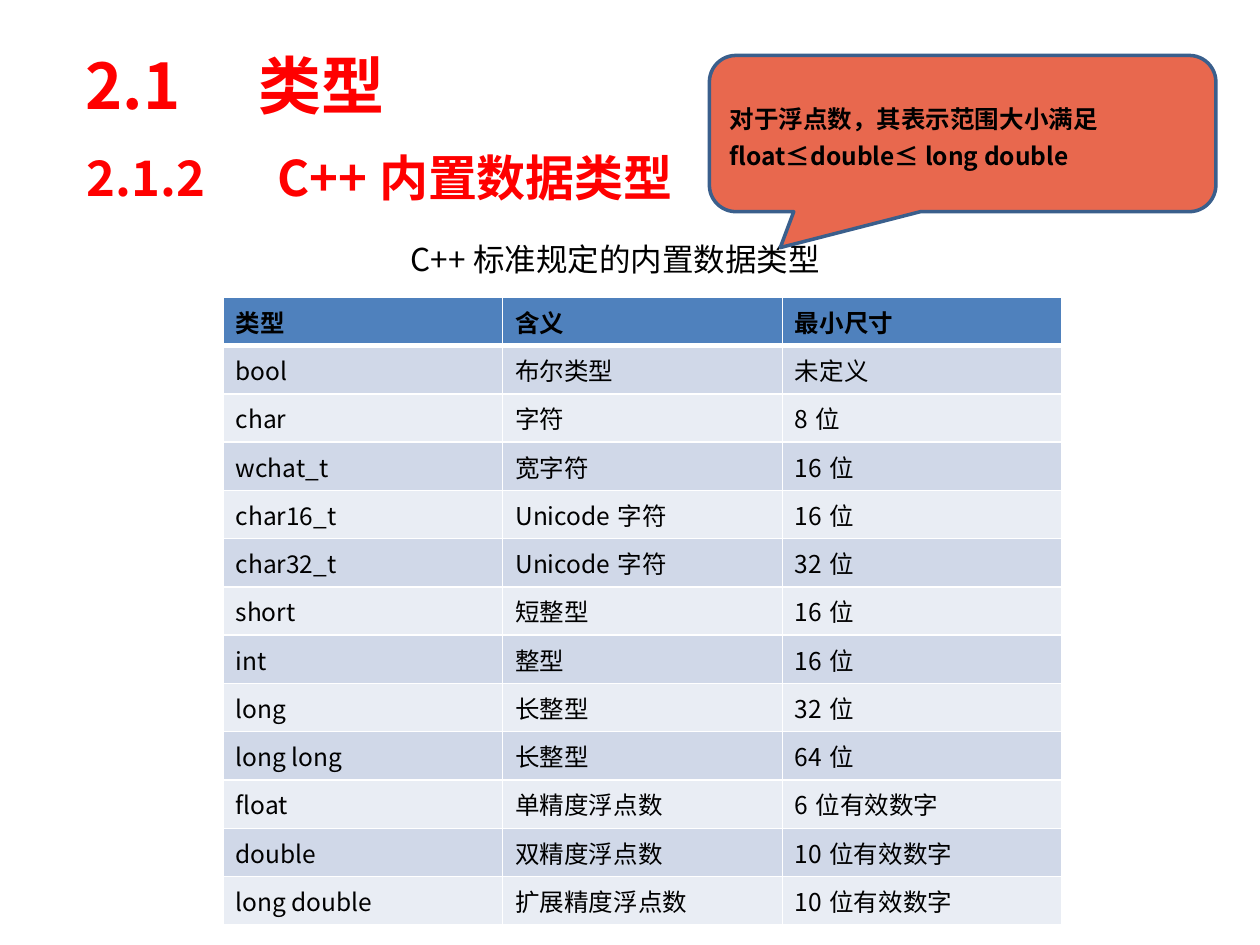
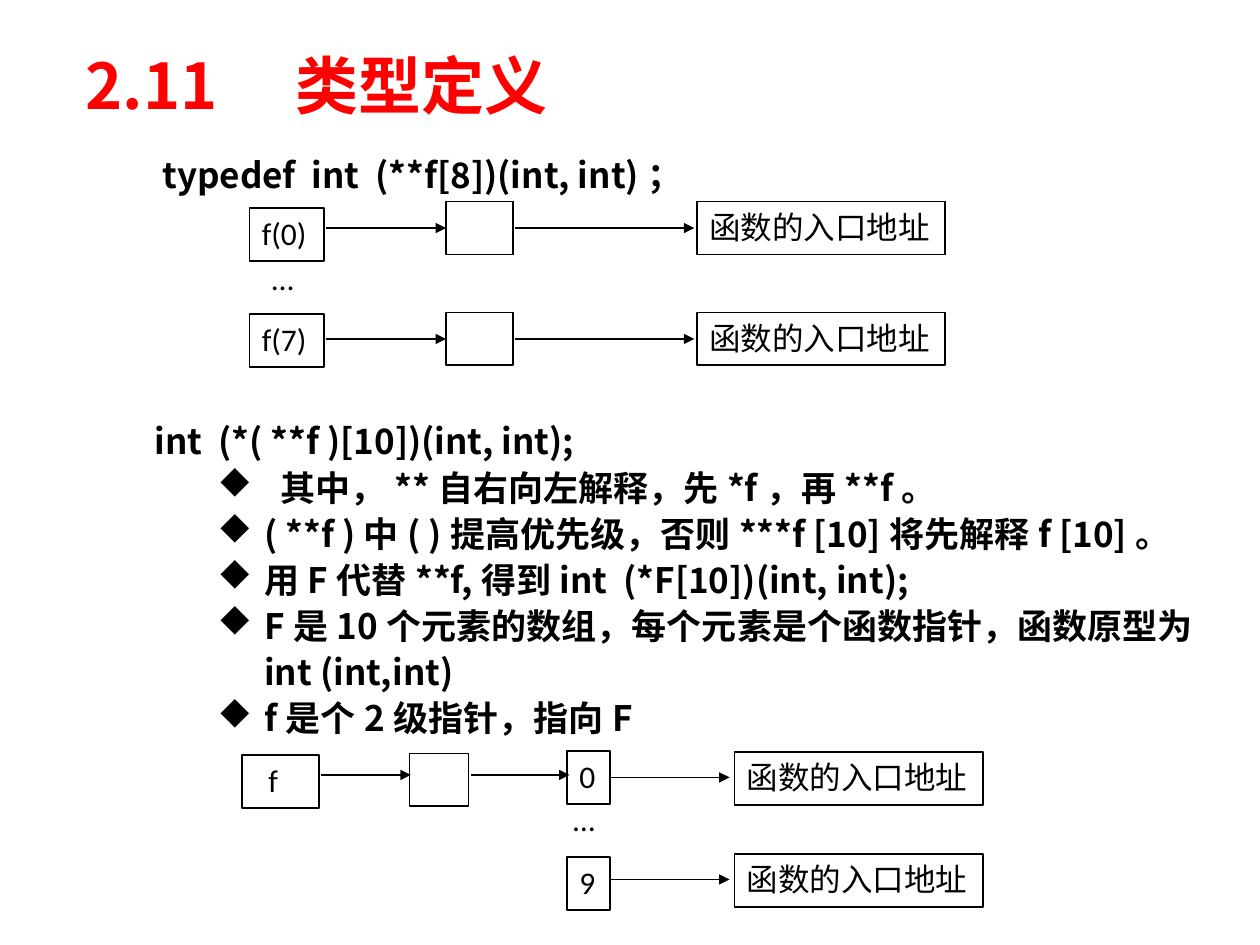
from lxml import etree
from pptx import Presentation
from pptx.dml.color import RGBColor
from pptx.enum.shapes import MSO_CONNECTOR, MSO_SHAPE
from pptx.enum.text import MSO_ANCHOR, MSO_AUTO_SIZE, PP_ALIGN
from pptx.oxml.ns import qn
from pptx.util import Inches, Pt

RED = RGBColor(0xFF, 0x00, 0x00)
BLACK = RGBColor(0x00, 0x00, 0x00)
ORANGE = RGBColor(0xE8, 0x68, 0x4E)
CALLOUT_LINE = RGBColor(0x3A, 0x5F, 0x8C)
HEADER_BLUE = RGBColor(0x4F, 0x81, 0xBD)
ROW_DARK = RGBColor(0xD0, 0xD8, 0xE8)
ROW_LIGHT = RGBColor(0xE9, 0xED, 0xF4)
HEADING_FONT = "Noto Sans CJK SC"
BODY_FONT = "Noto Sans CJK JP"
DIAGRAM_FONT = "Calibri"
RECTANGLE = MSO_SHAPE.RECTANGLE
CALLOUT = MSO_SHAPE.ROUNDED_RECTANGULAR_CALLOUT
STRAIGHT = MSO_CONNECTOR.STRAIGHT
MIDDLE = MSO_ANCHOR.MIDDLE
TOP = MSO_ANCHOR.TOP
NO_AUTOFIT = MSO_AUTO_SIZE.NONE
LEFT = PP_ALIGN.LEFT
JUSTIFY = PP_ALIGN.JUSTIFY


def add_run(paragraph, text, size, font=BODY_FONT, color=BLACK, bold=False):
    run = paragraph.add_run()
    run.text = text
    run.font.size = Pt(size)
    run.font.name = font
    run.font.bold = bold
    run.font.color.rgb = color
    east_asian = BODY_FONT if font == DIAGRAM_FONT else font
    run.font._element.find(qn("a:latin")).addnext(
        etree.Element(qn("a:ea"), typeface=east_asian))


def add_text_box(slide, left, top, width, height, wrap=True):
    text_box = slide.shapes.add_textbox(
        Inches(left), Inches(top), Inches(width), Inches(height))
    text_box.text_frame.word_wrap = wrap
    return text_box.text_frame


presentation = Presentation()
presentation.slide_width = Inches(10)
presentation.slide_height = Inches(7.5)
title_only = presentation.slide_layouts[5]

# Slides with their titles
slides = []
for title_text, title_width in (("2.1　类型", 8.5), ("2.11　类型定义", 9.06)):
    slide = presentation.slides.add_slide(title_only)
    title = slide.shapes.title
    title.left, title.top = Inches(0.58), Inches(0.21)
    title.width, title.height = Inches(title_width), Inches(0.92)
    title.text_frame.auto_size = NO_AUTOFIT
    title.text_frame.vertical_anchor = MIDDLE
    paragraph = title.text_frame.paragraphs[0]
    paragraph.alignment = LEFT
    add_run(paragraph, title_text, 36, HEADING_FONT, RED, True)
    slides.append(slide)
types_slide, typedef_slide = slides

# Section heading
heading = add_text_box(types_slide, 0.59, 0.94, 8.5, 0.92)
heading.vertical_anchor = MIDDLE
add_run(heading.paragraphs[0], "2.1.2　C++内置数据类型", 28, HEADING_FONT, RED, True)

# Table of built-in types
type_rows = [
    ("类型", "含义", "最小尺寸"),
    ("bool", "布尔类型", "未定义"),
    ("char", "字符", "8位"),
    ("wchat_t", "宽字符", "16位"),
    ("char16_t", "Unicode字符", "16位"),
    ("char32_t", "Unicode字符", "32位"),
    ("short", "短整型", "16位"),
    ("int", "整型", "16位"),
    ("long", "长整型", "32位"),
    ("long long", "长整型", "64位"),
    ("float", "单精度浮点数", "6位有效数字"),
    ("double", "双精度浮点数", "10位有效数字"),
    ("long double", "扩展精度浮点数", "10位有效数字"),
]
table = types_slide.shapes.add_table(
    len(type_rows), 3, Inches(1.77), Inches(2.36), Inches(6.66), Inches(4.98)).table
for row_index, row_texts in enumerate(type_rows):
    is_header = row_index == 0
    for column_index, cell_text in enumerate(row_texts):
        cell = table.cell(row_index, column_index)
        add_run(cell.text_frame.paragraphs[0], cell_text, 14, bold=is_header)
        properties = cell._tc.get_or_add_tcPr()
        for side in ("L", "R", "T", "B"):
            thick = (is_header and side == "B") or (row_index == 1 and side == "T")
            border = etree.SubElement(
                properties, qn("a:ln" + side), w=str(Pt(3 if thick else 1)))
            border_fill = etree.SubElement(border, qn("a:solidFill"))
            etree.SubElement(border_fill, qn("a:srgbClr"), val="FFFFFF")
        cell.fill.solid()
        row_color = ROW_DARK if row_index % 2 else ROW_LIGHT
        cell.fill.fore_color.rgb = HEADER_BLUE if is_header else row_color

# Table caption
caption = add_text_box(types_slide, 3.16, 1.86, 3.49, 0.4, wrap=False)
add_run(caption.paragraphs[0], "C++标准规定的内置数据类型", 18)

# Callout on floating-point ranges
callout = types_slide.shapes.add_shape(
    CALLOUT, Inches(5.63), Inches(0.44), Inches(4.02), Inches(1.24))
callout.adjustments[0] = -0.36
callout.adjustments[1] = 0.73
callout.adjustments[2] = 0.17
callout.shadow.inherit = False
callout.fill.solid()
callout.fill.fore_color.rgb = ORANGE
callout.line.color.rgb = CALLOUT_LINE
callout.line.width = Pt(2)
callout_frame = callout.text_frame
callout_frame.vertical_anchor = MIDDLE
for index, line_text in enumerate(("对于浮点数，其表示范围大小满足", "float≤double≤ long double")):
    paragraph = callout_frame.add_paragraph() if index else callout_frame.paragraphs[0]
    paragraph.alignment = LEFT
    paragraph.line_spacing = 1.25
    add_run(paragraph, line_text, 14, bold=True)

# Declarations: text, left indent, line spacing, space before
body = add_text_box(typedef_slide, 0.13, 1.15, 9.47, 5.17)
declarations = [
    ("typedef  int  (**f[8])(int, int)；", 1.06, 1.05, 0),
    ("int  (*( **f )[10])(int, int);", 1, 1.1, 126),  # room for the first diagram
]
for index, (declaration, indent, spacing, space_before) in enumerate(declarations):
    paragraph = body.add_paragraph() if index else body.paragraphs[0]
    paragraph.alignment = LEFT
    paragraph.line_spacing = spacing
    paragraph.space_before = Pt(space_before)
    paragraph._p.get_or_add_pPr().set("marL", str(Inches(indent)))
    add_run(paragraph, declaration, 20, bold=True)

# Bulleted explanation
explanations = [
    "\t其中，**自右向左解释，先*f，再**f。",
    "( **f )中( )提高优先级，否则***f [10]将先解释f [10]。",
    "用F代替**f,得到int  (*F[10])(int, int);",
    "F是10个元素的数组，每个元素是个函数指针，函数原型为int (int,int)",
    "f是个2级指针，指向F",
]
for explanation in explanations:
    paragraph = body.add_paragraph()
    paragraph.level = 3
    paragraph.alignment = JUSTIFY
    paragraph.line_spacing = 1.1
    properties = paragraph._p.get_or_add_pPr()
    properties.set("marL", str(Inches(1.87)))
    properties.set("indent", str(Inches(-0.37)))
    etree.SubElement(properties, qn("a:buFont"), typeface="Wingdings", charset="2")
    etree.SubElement(properties, qn("a:buChar"), char="u")  # diamond
    add_run(paragraph, explanation, 20, bold=True)

# Diagram boxes: key, text, left, top, width, left margin
BOX_HEIGHT = 0.42
ENTRY = "函数的入口地址"
diagram_boxes = [
    ("f(0)", "f(0)", 1.98, 1.65, 0.59, 0.1),
    ("f(7)", "f(7)", 1.98, 2.49, 0.59, 0.1),
    ("pointer 0", "", 3.54, 1.6, 0.53, 0.1),
    ("pointer 7", "", 3.54, 2.48, 0.53, 0.1),
    ("function 0", ENTRY, 5.53, 1.6, 1.97, 0.1),
    ("function 7", ENTRY, 5.53, 2.48, 1.97, 0.1),
    ("f", "f", 1.92, 5.99, 0.61, 0.21),
    ("array pointer", "", 3.25, 5.98, 0.47, 0.1),
    ("element 0", "0", 4.5, 5.96, 0.34, 0.1),
    ("element 9", "9", 4.5, 6.8, 0.34, 0.1),
    ("element function 0", ENTRY, 5.83, 5.97, 1.97, 0.1),
    ("element function 9", ENTRY, 5.83, 6.78, 1.97, 0.1),
]
boxes = {}
for key, box_text, left, top, width, margin in diagram_boxes:
    box = typedef_slide.shapes.add_shape(
        RECTANGLE, Inches(left), Inches(top), Inches(width), Inches(BOX_HEIGHT))
    box.shadow.inherit = False
    box.fill.background()
    box.line.color.rgb = BLACK
    box.line.width = Pt(1)
    boxes[key] = box
    if box_text:
        box_frame = box.text_frame
        box_frame.vertical_anchor = TOP
        box_frame.margin_left = Inches(margin)
        box_frame.margin_right = 0
        box_frame.paragraphs[0].alignment = LEFT
        add_run(box_frame.paragraphs[0], box_text, 18, DIAGRAM_FONT)

# Ellipses between the first and last elements
for left, top in ((2.06, 2.01), (4.45, 6.3)):
    ellipsis = add_text_box(typedef_slide, left, top, 0.45, 0.4, wrap=False)
    add_run(ellipsis.paragraphs[0], "…", 18, DIAGRAM_FONT)

# Arrows: start x, end x, y, box joined at the start, box joined at the end
arrows = [
    (2.59, 3.54, 1.81, None, "pointer 0"),
    (4.09, 5.51, 1.81, None, None),
    (2.59, 3.54, 2.69, None, "pointer 7"),
    (4.09, 5.51, 2.69, None, None),
    (2.55, 3.26, 6.15, None, None),
    (3.74, 4.52, 6.15, None, None),
    (4.85, 5.79, 6.17, "element 0", None),
    (4.85, 5.79, 6.98, None, None),
]
for start_x, end_x, y, start_box, end_box in arrows:
    arrow = typedef_slide.shapes.add_connector(
        STRAIGHT, Inches(start_x), Inches(y), Inches(end_x), Inches(y))
    if start_box:
        arrow.begin_connect(boxes[start_box], 3)
    if end_box:
        arrow.end_connect(boxes[end_box], 1)
    arrow.line.color.rgb = BLACK
    arrow.line.width = Pt(1)
    etree.SubElement(arrow.line._get_or_add_ln(), qn("a:tailEnd"), type="triangle")
    etree.SubElement(arrow._element.spPr, qn("a:effectLst"))

presentation.save("out.pptx")
